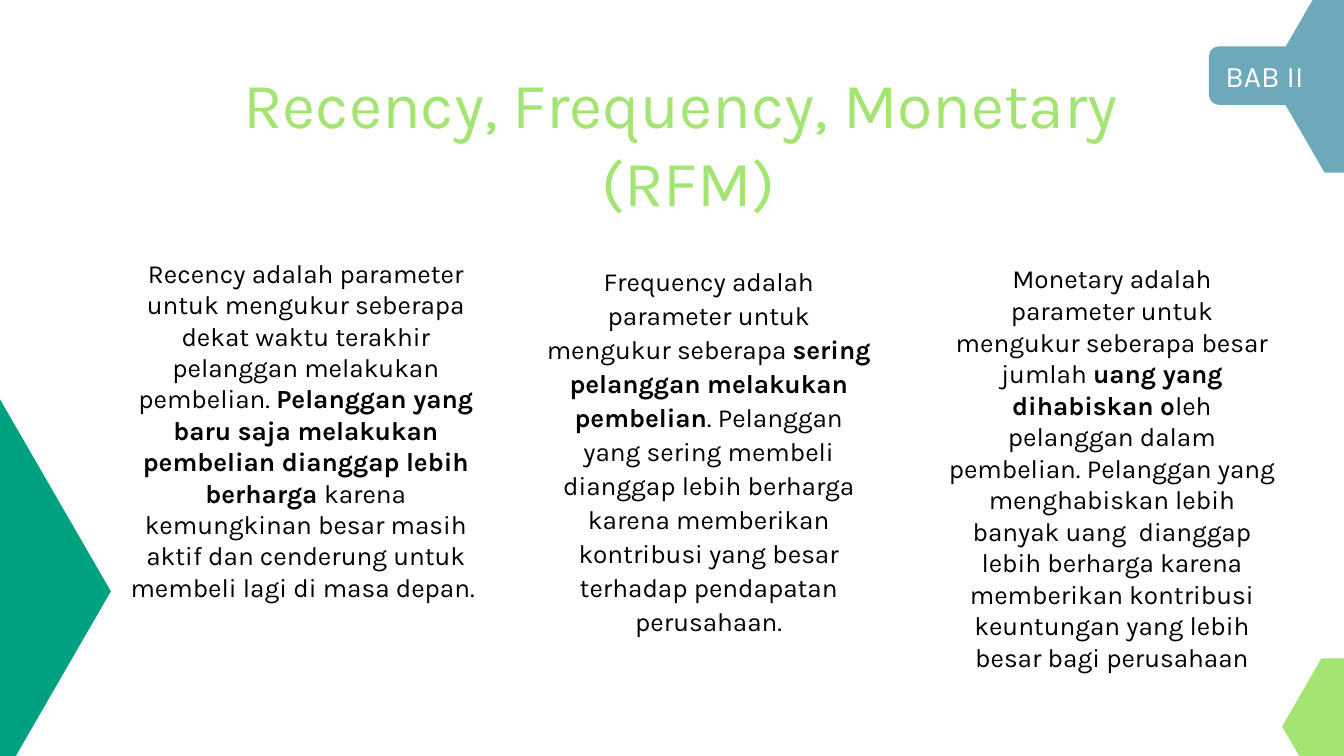
import math
from dataclasses import dataclass
from typing import Optional

import pptx
import pptx.dml.color
import pptx.enum.shapes
import pptx.enum.text
import pptx.util

RGBColor = pptx.dml.color.RGBColor
GREEN = RGBColor(0x00, 0xA1, 0x81)
BLUE = RGBColor(0x6D, 0xA8, 0xBB)
LIME = RGBColor(0xA4, 0xE4, 0x73)
BLACK = RGBColor(0, 0, 0)
WHITE = RGBColor(0xFF, 0xFF, 0xFF)

FONT = "Karla"
CELL = pptx.util.Inches(1)  # square grid: 20 columns by 11.25 rows
COLUMNS, ROWS = 20, 11.25


@dataclass(frozen=True)
class Hexagon:
    center_column: float
    center_row: float
    radius: float
    color: RGBColor


@dataclass(frozen=True)
class Definition:
    """A column of text made of plain, bold and plain wording."""
    column: float
    row: float
    width: float
    height: float
    line_points: Optional[float]
    opening: str
    emphasis: str
    closing: str


HEXAGONS = [
    Hexagon(-1.84, 8.8, 3.49, GREEN),
    Hexagon(20.54, 1.13, 1.66, BLUE),
    Hexagon(20.25, 10.81, 1.17, LIME),
]

DEFINITIONS = [
    Definition(
        1.8, 3.78, 5.5, 5.28, None,
        "Recency adalah parameter untuk mengukur seberapa dekat waktu terakhir "
        "pelanggan melakukan pembelian. ",
        "Pelanggan yang baru saja melakukan pembelian dianggap lebih berharga ",
        "karena kemungkinan besar masih aktif dan cenderung untuk membeli lagi "
        "di masa depan. "),
    Definition(
        8, 3.86, 5.09, 5.13, 36.4,
        "Frequency adalah parameter untuk mengukur seberapa ",
        "sering pelanggan melakukan pembelian",
        ". Pelanggan yang sering membeli dianggap lebih berharga karena "
        "memberikan kontribusi yang besar terhadap pendapatan perusahaan."),
    Definition(
        14, 3.86, 5.09, 5.81, 33.8,
        "Monetary adalah parameter untuk mengukur seberapa besar jumlah ",
        "uang yang dihabiskan o",
        "leh pelanggan dalam pembelian. Pelanggan yang menghabiskan lebih "
        "banyak uang  dianggap lebih berharga karena memberikan kontribusi "
        "keuntungan yang lebih besar bagi perusahaan"),
]


def cells(*counts: float) -> list[int]:
    """Turn counts of grid cells into slide lengths."""
    return [round(count * CELL) for count in counts]


def apply_format(target, values: dict) -> None:
    for name, value in values.items():
        setattr(target, name, value)


def add_run(paragraph, text: str, size: float, color: RGBColor,
            bold: bool = False) -> None:
    run = paragraph.add_run()
    run.text = text
    apply_format(run.font, {"name": FONT, "size": pptx.util.Pt(size), "bold": bold})
    run.font.color.rgb = color


def center_paragraph(paragraph, line_points: Optional[float] = None) -> None:
    paragraph.alignment = pptx.enum.text.PP_ALIGN.CENTER
    if line_points:
        paragraph.line_spacing = pptx.util.Pt(line_points)


def paint(shape, color: RGBColor) -> None:
    shape.shadow.inherit = False
    shape.fill.solid()
    shape.fill.fore_color.rgb = color
    shape.line.fill.background()


def format_title(title) -> None:
    apply_format(title, dict(zip(("left", "top", "width", "height"),
                                 cells(2.17, 0.96, 16.15, 2.29))))
    frame = title.text_frame
    apply_format(frame, {
        "margin_left": 0, "margin_top": 0, "margin_right": 0, "margin_bottom": 0,
        "word_wrap": True,
        "vertical_anchor": pptx.enum.text.MSO_ANCHOR.TOP,
        "auto_size": pptx.enum.text.MSO_AUTO_SIZE.SHAPE_TO_FIT_TEXT,
    })
    for index, line in enumerate(("Recency, Frequency, Monetary ", "(RFM)")):
        paragraph = frame.add_paragraph() if index else frame.paragraphs[0]
        center_paragraph(paragraph, 82.8)
        paragraph.space_before = pptx.util.Pt(0)
        add_run(paragraph, line, 69, LIME)


def add_hexagon(slide, hexagon: Hexagon) -> None:
    corners = [
        cells(hexagon.center_column + hexagon.radius * math.cos(step * math.pi / 3),
              hexagon.center_row + hexagon.radius * math.sin(step * math.pi / 3))
        for step in range(6)
    ]
    builder = slide.shapes.build_freeform(*corners[0])
    builder.add_line_segments(corners[1:], close=True)
    paint(builder.convert_to_shape(), hexagon.color)


def add_definition(slide, definition: Definition) -> None:
    box = slide.shapes.add_textbox(*cells(
        definition.column, definition.row, definition.width, definition.height))
    apply_format(box.text_frame, {
        "word_wrap": True,
        "auto_size": pptx.enum.text.MSO_AUTO_SIZE.SHAPE_TO_FIT_TEXT,
    })
    paragraph = box.text_frame.paragraphs[0]
    center_paragraph(paragraph, definition.line_points)
    add_run(paragraph, definition.opening, 28, BLACK)
    add_run(paragraph, definition.emphasis, 28, BLACK, bold=True)
    add_run(paragraph, definition.closing, 28, BLACK)


def add_chapter_label(slide) -> None:
    label = slide.shapes.add_shape(
        pptx.enum.shapes.MSO_SHAPE.ROUNDED_RECTANGLE, *cells(17.99, 0.69, 1.76, 0.87))
    paint(label, BLUE)
    label.text_frame.word_wrap = True
    label.text_frame.vertical_anchor = pptx.enum.text.MSO_ANCHOR.MIDDLE
    paragraph = label.text_frame.paragraphs[0]
    center_paragraph(paragraph)
    add_run(paragraph, "BAB II ", 32, WHITE)


def main() -> None:
    presentation = pptx.Presentation()
    presentation.slide_width, presentation.slide_height = cells(COLUMNS, ROWS)
    title_only = presentation.slide_layouts.get_by_name("Title Only")
    slide = presentation.slides.add_slide(title_only)
    format_title(slide.shapes.title)
    for hexagon in HEXAGONS:
        add_hexagon(slide, hexagon)
    for definition in DEFINITIONS:
        add_definition(slide, definition)
    add_chapter_label(slide)
    presentation.save("out.pptx")


if __name__ == "__main__":
    main()
